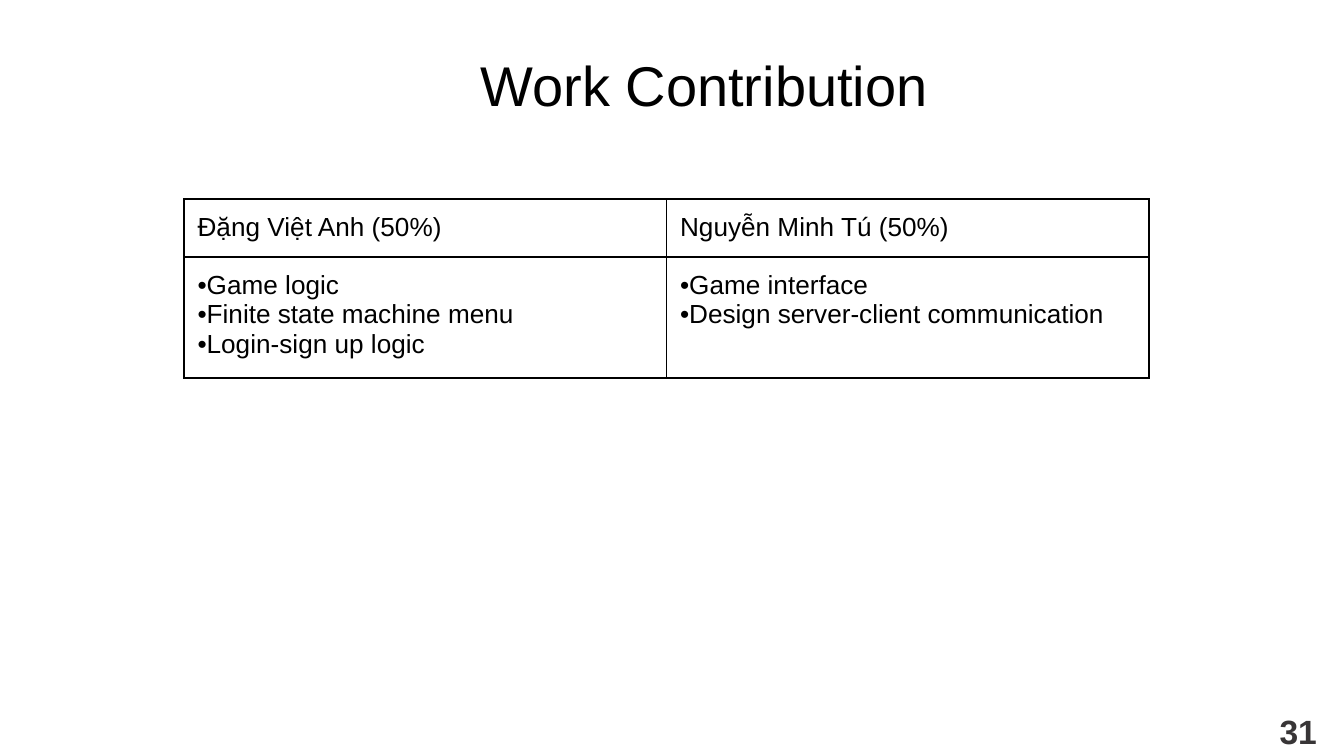
"""Build the work contribution slide with its two-column table."""
import lxml.etree
import pptx
import pptx.dml.color
import pptx.enum.text
import pptx.oxml.ns
import pptx.util

Inches = pptx.util.Inches
qn = pptx.oxml.ns.qn

HEADINGS = [
    ("Work Contribution", (1.84, 0.28, 6.8, 0.56), 30, "000000", False),
    ("31", (9.36, 5.19, 0.6, 0.43), 18, "383536", True),
]
CONTRIBUTIONS = {
    "Đặng Việt Anh (50%)": ["Game logic", "Finite state machine menu", "Login-sign up logic"],
    "Nguyễn Minh Tú (50%)": ["Game interface", "Design server-client communication"],
}
TABLE_LEFT, TABLE_TOP = 1.37, 1.48
COLUMN_WIDTH = 3.59
ROW_HEIGHTS = [0.36, 0.42]
INSET = Inches(0.1)
FONT = "Arial"
INK = "000000"


def rgb(value):
    return pptx.dml.color.RGBColor.from_string(value)


def set_insets(holder):
    holder.margin_left = holder.margin_right = INSET
    holder.margin_top = holder.margin_bottom = INSET


def style(paragraph, size, color, bold=False):
    for run in paragraph.runs:
        run.font.name = FONT
        run.font.size = pptx.util.Pt(size)
        run.font.bold = bold
        run.font.color.rgb = rgb(color)


def add_heading(slide, wording, place, size, color, bold):
    heading = slide.shapes.add_textbox(*map(Inches, place))
    frame = heading.text_frame
    frame.word_wrap = True
    set_insets(frame)
    frame.text = wording
    frame.paragraphs[0].alignment = pptx.enum.text.PP_ALIGN.CENTER
    style(frame.paragraphs[0], size, color, bold)


def add_bullet(paragraph):
    properties = paragraph._p.get_or_add_pPr()
    properties.set("marL", "0")
    properties.set("indent", str(-INSET))
    bullet_color = lxml.etree.SubElement(properties, qn("a:buClr"))
    lxml.etree.SubElement(bullet_color, qn("a:srgbClr"), val=INK)
    lxml.etree.SubElement(properties, qn("a:buFont"), typeface=FONT)
    lxml.etree.SubElement(properties, qn("a:buChar"), char="•")


def add_borders(cell):
    properties = cell._tc.get_or_add_tcPr()
    for position, side in enumerate(("a:lnL", "a:lnR", "a:lnT", "a:lnB")):
        border = lxml.etree.Element(qn(side), w=str(pptx.util.Pt(1)))
        fill = lxml.etree.SubElement(border, qn("a:solidFill"))
        lxml.etree.SubElement(fill, qn("a:srgbClr"), val=INK)
        properties.insert(position, border)


def fill_cell(cell, lines, bulleted):
    set_insets(cell)
    cell.fill.background()
    add_borders(cell)
    cell.text_frame.text = "\n".join(lines)
    for paragraph in cell.text_frame.paragraphs:
        style(paragraph, 14, INK)
        if bulleted:
            add_bullet(paragraph)


def add_contributions(slide):
    members = len(CONTRIBUTIONS)
    contributions = slide.shapes.add_table(
        len(ROW_HEIGHTS), members, Inches(TABLE_LEFT), Inches(TABLE_TOP),
        Inches(COLUMN_WIDTH * members), Inches(sum(ROW_HEIGHTS))).table
    contributions.first_row = contributions.horz_banding = False
    for row, height in zip(contributions.rows, ROW_HEIGHTS):
        row.height = Inches(height)
    for column, (member, tasks) in enumerate(CONTRIBUTIONS.items()):
        contributions.columns[column].width = Inches(COLUMN_WIDTH)
        fill_cell(contributions.cell(0, column), [member], False)
        fill_cell(contributions.cell(1, column), tasks, True)


def main():
    deck = pptx.Presentation()
    deck.slide_width = Inches(10)
    deck.slide_height = deck.slide_width * 9 // 16
    slide = deck.slides.add_slide(deck.slide_layouts[6])
    for heading in HEADINGS:
        add_heading(slide, *heading)
    add_contributions(slide)
    deck.save("out.pptx")


if __name__ == "__main__":
    main()
